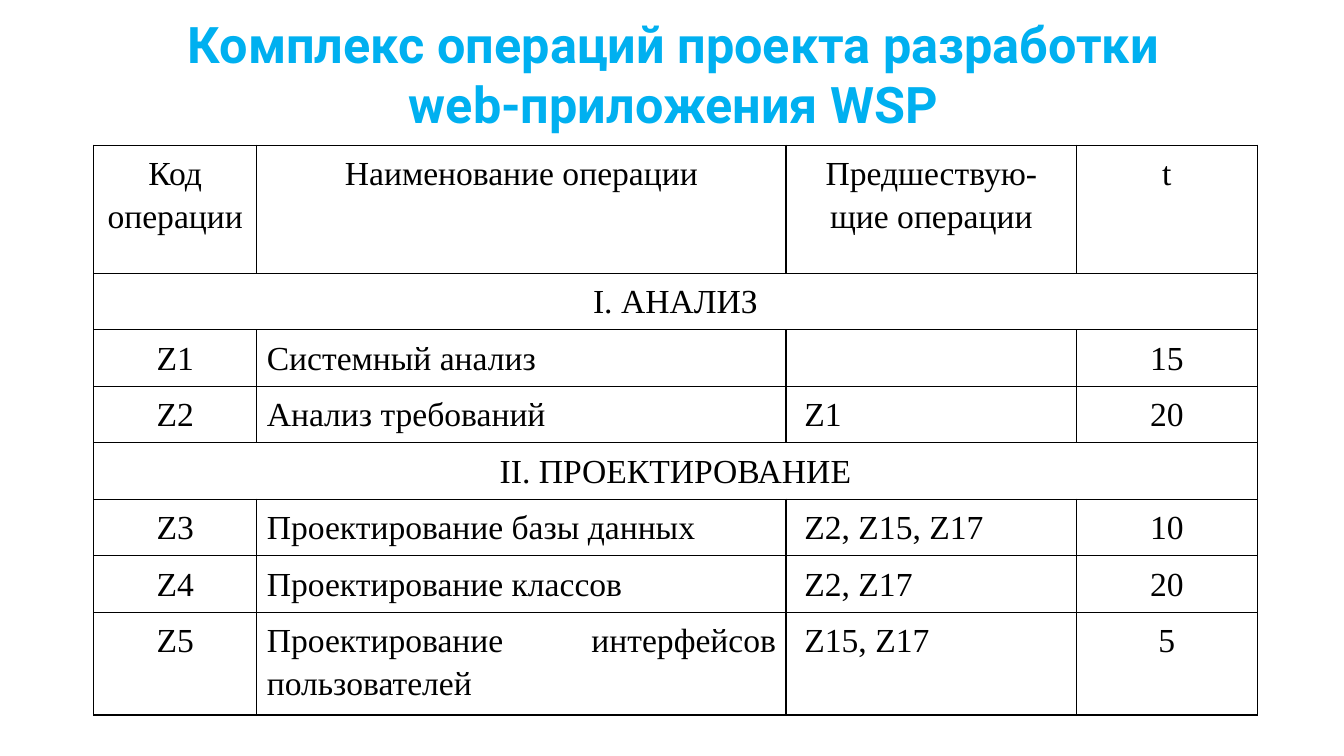
from lxml import etree
from pptx import Presentation
from pptx.dml.color import RGBColor
from pptx.enum import text
from pptx.oxml import ns
from pptx.util import Cm, Pt

TITLE = "Комплекс операций проекта разработки web-приложения WSP"
HEADER = ("Код\nоперации", "Наименование операции", "Предшествую-щие операции", "t")
STAGES = [
    ("I. АНАЛИЗ", [
        ("Z1", "Системный анализ", "", "15"),
        ("Z2", "Анализ требований", "Z1", "20"),
    ]),
    ("II. ПРОЕКТИРОВАНИЕ", [
        ("Z3", "Проектирование базы данных", "Z2, Z15, Z17", "10"),
        ("Z4", "Проектирование классов", "Z2, Z17", "20"),
        ("Z5", "Проектирование интерфейсов пользователей", "Z15, Z17", "5"),
    ]),
]

BLUE = RGBColor(0x00, 0xB0, 0xF0)
BLACK = RGBColor(0x00, 0x00, 0x00)
BORDER = Pt(0.96)
COL_WIDTHS = [Cm(w) for w in (4.11, 13.34, 7.32, 4.55)]
HEADER_HEIGHT, ROW_HEIGHT, LAST_HEIGHT = Cm(3.23), Cm(1.42), Cm(2.59)
PREDECESSOR_INDENT = Cm(0.46)
CENTER, JUSTIFY = text.PP_ALIGN.CENTER, text.PP_ALIGN.JUSTIFY
BODY_ALIGN = (CENTER, JUSTIFY, JUSTIFY, CENTER)


def add_borders(cell):
    tc_pr = cell._tc.get_or_add_tcPr()
    for i, side in enumerate(("lnL", "lnR", "lnT", "lnB")):
        ln = etree.Element(ns.qn(f"a:{side}"), w=str(BORDER))
        fill = etree.SubElement(ln, ns.qn("a:solidFill"))
        etree.SubElement(fill, ns.qn("a:srgbClr"), val=str(BLACK))
        tc_pr.insert(i, ln)


def fill_cell(cell, content, align):
    cell.fill.background()
    add_borders(cell)
    cell.text = content
    for p in cell.text_frame.paragraphs:
        p.alignment = align
        p.line_spacing = 1.15
        p.font.size = Pt(24)
        p.font.name = "Times New Roman"
        p.font.color.rgb = BLACK


def add_title(s):
    tf = s.shapes.add_textbox(Cm(2.92), Cm(0.2), Cm(28.12), Cm(3.33)).text_frame
    tf.word_wrap = True
    tf.auto_size = text.MSO_AUTO_SIZE.SHAPE_TO_FIT_TEXT
    p = tf.paragraphs[0]
    p.text = TITLE
    p.alignment = CENTER
    p.space_before, p.space_after = Pt(12), Pt(3)
    p.font.size, p.font.bold = Pt(36), True
    p.font.name = "Roboto"
    p.font.color.rgb = BLUE


def add_operations(s):
    rows = [HEADER]
    for stage, operations in STAGES:
        rows += [(stage, "", "", ""), *operations]
    heights = [HEADER_HEIGHT] + [ROW_HEIGHT] * (len(rows) - 2) + [LAST_HEIGHT]
    frame = s.shapes.add_table(len(rows), len(HEADER), Cm(2.36), Cm(3.66),
                               sum(COL_WIDTHS), sum(heights))
    table = frame.table
    table.first_row = table.horz_banding = False
    for column, width in zip(table.columns, COL_WIDTHS):
        column.width = width
    stages = [stage for stage, _ in STAGES]
    for r, (row, height) in enumerate(zip(rows, heights)):
        table.rows[r].height = height
        is_operation = row is not HEADER and row[0] not in stages
        for c, content in enumerate(row):
            cell = table.cell(r, c)
            fill_cell(cell, content, BODY_ALIGN[c] if is_operation else CENTER)
            if is_operation and c == 2:
                cell.margin_left = PREDECESSOR_INDENT
        if row[0] in stages:
            table.cell(r, 0).merge(table.cell(r, len(HEADER) - 1))


def main():
    prs = Presentation()
    prs.slide_width, prs.slide_height = Cm(33.87), Cm(19.05)
    s = prs.slides.add_slide(prs.slide_layouts[6])
    add_title(s)
    add_operations(s)
    prs.save("out.pptx")


if __name__ == "__main__":
    main()
